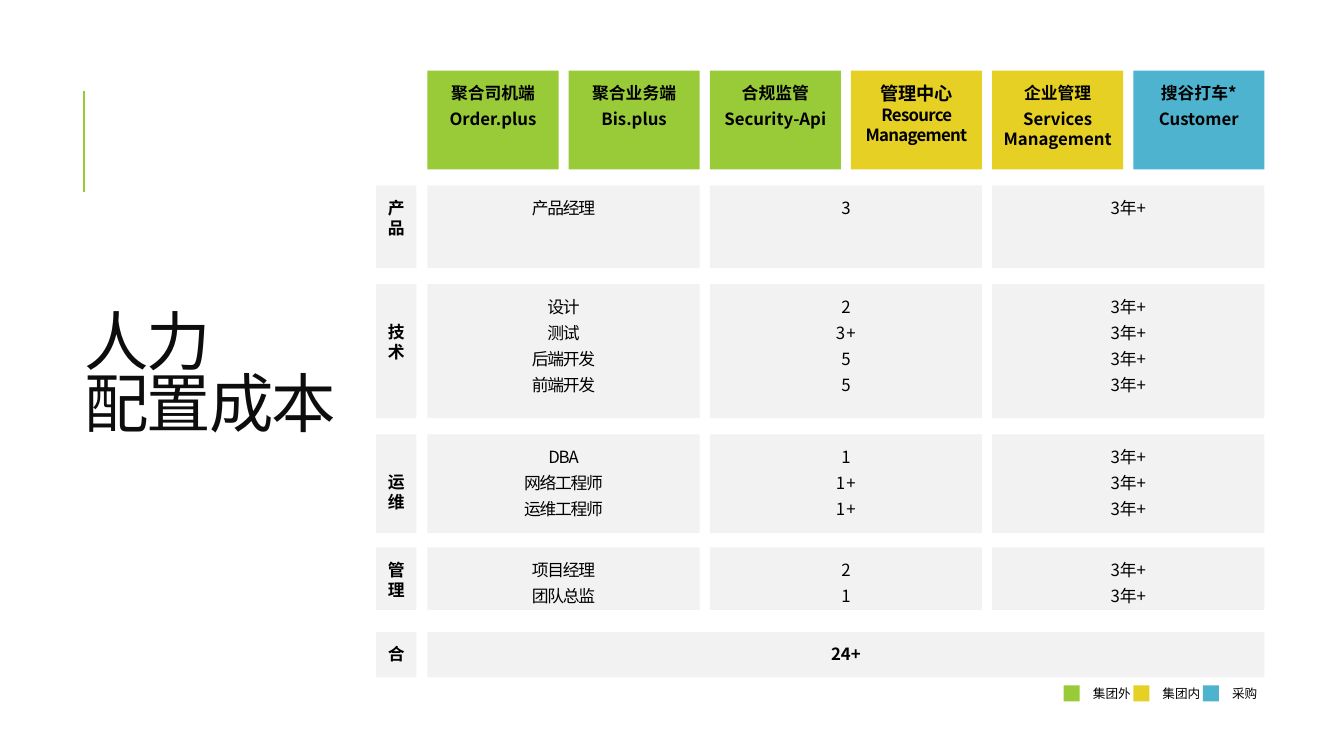
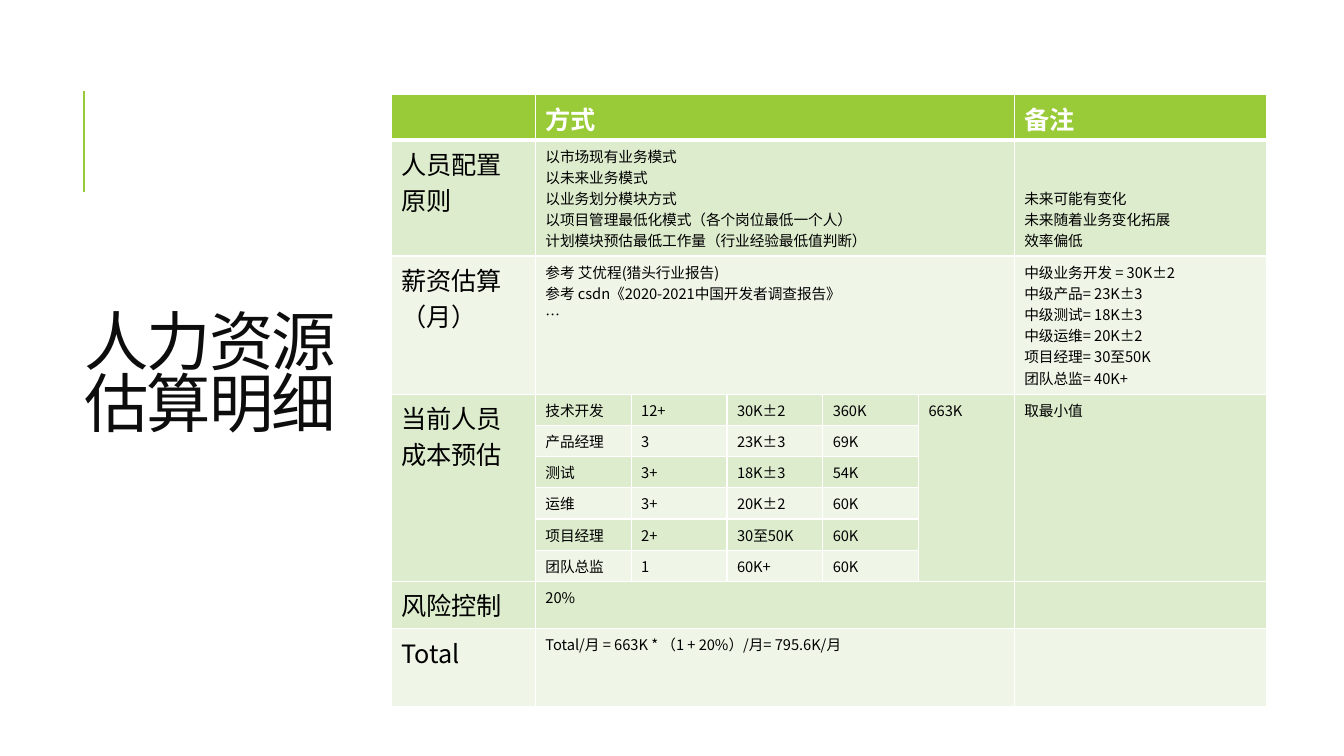
from lxml.etree import SubElement
from pptx import Presentation
from pptx.dml.color import RGBColor
from pptx.enum.shapes import MSO_CONNECTOR, MSO_SHAPE
from pptx.enum.text import MSO_ANCHOR, PP_ALIGN
from pptx.oxml.ns import qn
from pptx.util import Inches, Pt

FONT = "Noto Sans CJK SC"
GREEN = RGBColor(0x99, 0xCB, 0x38)
YELLOW = RGBColor(0xE6, 0xD0, 0x24)
BLUE = RGBColor(0x4E, 0xB3, 0xCF)
GRAY = RGBColor(0xF2, 0xF2, 0xF2)
BAND_DARK = RGBColor(0xDE, 0xEC, 0xCE)
BAND_LIGHT = RGBColor(0xEF, 0xF6, 0xE8)
BLACK = RGBColor(0x00, 0x00, 0x00)
TITLE_COLOR = RGBColor(0x0D, 0x0D, 0x0D)
WHITE = RGBColor(0xFF, 0xFF, 0xFF)

GRID_LEFT = 4.24
GAP = 0.1
MODULE_WIDTH = 1.3
DETAIL_WIDTH = 2 * MODULE_WIDTH + GAP
GRID_WIDTH = 3 * DETAIL_WIDTH + 2 * GAP
LABEL_LEFT, LABEL_WIDTH = 3.73, 0.4
TOP_INSET = 0.12
LOWERED_INSET = 0.37

MODULES = [
    (GREEN, ["聚合司机端", "Order.plus"]),
    (GREEN, ["聚合业务端", "Bis.plus"]),
    (GREEN, ["合规监管", "Security-Api"]),
    (YELLOW, None),
    (YELLOW, ["企业管理", "Services Management"]),
    (BLUE, ["搜谷打车*", "Customer"]),
]
# top, height, label inset, label, (role, headcount, experience) columns
STAFF_ROWS = [
    (1.84, 0.82, TOP_INSET, "产品", (["产品经理"], ["3"], ["3年+"])),
    (2.82, 1.33, LOWERED_INSET, "技术",
     (["设计", "测试", "后端开发", "前端开发"], ["2", "3 +", "5", "5"], ["3年+"] * 4)),
    (4.31, 0.98, LOWERED_INSET, "运维",
     (["DBA", "网络工程师", "运维工程师"], ["1", "1 +", "1 +"], ["3年+"] * 3)),
    (5.43, 0.62, TOP_INSET, "管理", (["项目经理", "团队总监"], ["2", "1"], ["3年+"] * 2)),
]
TOTAL_TOP, TOTAL_HEIGHT = 6.27, 0.45
LEGEND = [(GREEN, "集团外"), (YELLOW, "集团内"), (BLUE, "采购")]

COLUMN_WIDTHS = [1.43] + [0.95] * 5 + [2.5]
ROW_HEIGHTS = [0.45, 1.15, 1.37] + [0.31] * 6 + [0.47, 0.77]
MERGES = [(row, 1, row, 5) for row in (0, 1, 2, 9, 10)]
MERGES += [(3, column, 8, column) for column in (0, 5, 6)]
ESTIMATE = [
    ["", "方式", "", "", "", "", "备注"],
    ["人员配置\n原则",
     "以市场现有业务模式\n以未来业务模式\n以业务划分模块方式\n"
     "以项目管理最低化模式（各个岗位最低一个人）\n"
     "计划模块预估最低工作量（行业经验最低值判断）",
     "", "", "", "", "未来可能有变化\n未来随着业务变化拓展\n效率偏低"],
    ["薪资估算（月）",
     "参考 艾优程(猎头行业报告)\n参考 csdn《2020-2021中国开发者调查报告》\n…",
     "", "", "", "",
     "中级业务开发 = 30K±2\n中级产品= 23K±3\n中级测试= 18K±3\n"
     "中级运维= 20K±2\n项目经理= 30至50K\n团队总监= 40K+"],
    ["当前人员成本预估", "技术开发", "12+", "30K±2", "360K", "663K", "取最小值"],
    ["", "产品经理", "3", "23K±3", "69K", "", ""],
    ["", "测试", "3+", "18K±3", "54K", "", ""],
    ["", "运维", "3+", "20K±2", "60K", "", ""],
    ["", "项目经理", "2+", "30至50K", "60K", "", ""],
    ["", "团队总监", "1", "60K+", "60K", "", ""],
    ["风险控制", "20%", "", "", "", "", ""],
    ["Total", "Total/月 = 663K * （1 + 20%）/月= 795.6K/月", "", "", "", "", ""],
]


def add_run(paragraph, text, size, color=BLACK, bold=False, spacing=0):
    run = paragraph.add_run()
    run.text = text
    run.font.size = Pt(size)
    run.font.name = FONT
    run.font.bold = bold
    run.font.color.rgb = color
    properties = run._r.get_or_add_rPr()
    SubElement(properties, qn("a:ea")).set("typeface", FONT)
    if spacing:
        properties.set("spc", str(round(spacing * 100)))


def paragraphs_for(frame, count):
    """Yield the frame's first paragraph, then newly added ones."""
    for index in range(count):
        yield frame.add_paragraph() if index else frame.paragraphs[0]


def set_margins(frame, left=0, top=0, right=0, bottom=0):
    frame.margin_left, frame.margin_right = Inches(left), Inches(right)
    frame.margin_top, frame.margin_bottom = Inches(top), Inches(bottom)


def add_text_box(slide, left, top, width, height):
    frame = slide.shapes.add_textbox(
        Inches(left), Inches(top), Inches(width), Inches(height)).text_frame
    frame.word_wrap = True
    frame.vertical_anchor = MSO_ANCHOR.MIDDLE
    set_margins(frame)
    return frame


def add_block(slide, left, top, width, height, fill):
    shape = slide.shapes.add_shape(
        MSO_SHAPE.RECTANGLE, Inches(left), Inches(top), Inches(width), Inches(height))
    shape.shadow.inherit = False
    shape.fill.solid()
    shape.fill.fore_color.rgb = fill
    shape.line.fill.background()
    return shape


def format_block_paragraph(paragraph):
    paragraph.alignment = PP_ALIGN.CENTER
    paragraph.space_after = Pt(4.2)


def add_text_block(slide, left, top, width, height, fill, lines,
                   bold=True, spacing=0, inset=TOP_INSET):
    frame = add_block(slide, left, top, width, height, fill).text_frame
    frame.word_wrap = True
    frame.vertical_anchor = MSO_ANCHOR.TOP
    set_margins(frame, 0.08, inset, 0.08)
    for paragraph, line in zip(paragraphs_for(frame, len(lines)), lines):
        format_block_paragraph(paragraph)
        add_run(paragraph, line, 12, bold=bold, spacing=spacing)
    return frame


def add_titled_slide(presentation, title_lines):
    slide = presentation.slides.add_slide(presentation.slide_layouts[6])
    accent = slide.shapes.add_connector(
        MSO_CONNECTOR.STRAIGHT, Inches(0.83), Inches(1.9), Inches(0.83), Inches(0.9))
    accent.line.color.rgb = GREEN
    accent.line.width = Pt(1.5)
    SubElement(accent._element.spPr, qn("a:effectLst"))
    paragraph = add_text_box(slide, 0.84, 0.7, 3.21, 6.09).paragraphs[0]
    paragraph.line_spacing = 0.8
    for index, line in enumerate(title_lines):
        if index:
            paragraph.add_line_break()
        add_run(paragraph, line, 46, TITLE_COLOR, spacing=-1.5)
    return slide


def add_modules(slide):
    for index, (fill, lines) in enumerate(MODULES):
        left = GRID_LEFT + index * (MODULE_WIDTH + GAP)
        frame = add_text_block(slide, left, 0.7, MODULE_WIDTH, 0.98, fill, lines or [])
        if lines is None:
            paragraph = frame.paragraphs[0]
            format_block_paragraph(paragraph)
            add_run(paragraph, "管理中心", 13, bold=True)
            paragraph.add_line_break()
            add_run(paragraph, "Resource Management", 12, bold=True, spacing=-0.5)


def add_staff_rows(slide):
    for top, height, inset, label, columns in STAFF_ROWS:
        add_text_block(slide, LABEL_LEFT, top, LABEL_WIDTH, height, GRAY, [label], inset=inset)
        for index, lines in enumerate(columns):
            left = GRID_LEFT + index * (DETAIL_WIDTH + GAP)
            add_text_block(slide, left, top, DETAIL_WIDTH, height, GRAY, lines,
                           bold=False, spacing=-0.9)
    add_text_block(slide, LABEL_LEFT, TOTAL_TOP, LABEL_WIDTH, TOTAL_HEIGHT, GRAY, ["合"])
    add_text_block(slide, GRID_LEFT, TOTAL_TOP, GRID_WIDTH, TOTAL_HEIGHT, GRAY, ["24+"])


def add_legend(slide):
    for index, (fill, label) in enumerate(LEGEND):
        left = 10.55 + index * 0.69
        add_block(slide, left, 6.8, 0.16, 0.16, fill)
        frame = add_text_box(slide, left + 0.29, 6.8, 0.4, 0.16)
        add_run(frame.paragraphs[0], label, 9)


def set_borders(cell, top, bottom):
    """Draw white borders; top and bottom are widths in points."""
    properties = cell._tc.get_or_add_tcPr()
    widths = [("a:lnL", 1), ("a:lnR", 1), ("a:lnT", top), ("a:lnB", bottom)]
    for index, (tag, width) in enumerate(widths):
        line = SubElement(properties, qn(tag))
        line.set("w", str(Pt(width)))
        fill = SubElement(line, qn("a:solidFill"))
        SubElement(fill, qn("a:srgbClr")).set("val", str(WHITE))
        properties.insert(index, line)


def fill_cell(cell, row, column, text):
    header = row == 0
    cell.fill.solid()
    cell.fill.fore_color.rgb = GREEN if header else (BAND_LIGHT, BAND_DARK)[row % 2]
    set_borders(cell, 3 if row == 1 else 1, 3 if header else 1)
    size = 18 if header or column == 0 else 10.5
    lines = text.split("\n")
    for paragraph, line in zip(paragraphs_for(cell.text_frame, len(lines)), lines):
        if line:
            add_run(paragraph, line, size, WHITE if header else BLACK, bold=header)
        else:
            paragraph.font.size = Pt(size)


def add_estimate_table(slide):
    table = slide.shapes.add_table(
        len(ROW_HEIGHTS), len(COLUMN_WIDTHS), Inches(3.88), Inches(0.94),
        Inches(sum(COLUMN_WIDTHS)), Inches(sum(ROW_HEIGHTS))).table
    for column, width in zip(table.columns, COLUMN_WIDTHS):
        column.width = Inches(width)
    for row, height in zip(table.rows, ROW_HEIGHTS):
        row.height = Inches(height)
    for row, texts in enumerate(ESTIMATE):
        for column, text in enumerate(texts):
            fill_cell(table.cell(row, column), row, column, text)
    for first_row, first_column, last_row, last_column in MERGES:
        table.cell(first_row, first_column).merge(table.cell(last_row, last_column))
    table.cell(1, 6).vertical_anchor = MSO_ANCHOR.BOTTOM


def main():
    presentation = Presentation()
    presentation.slide_width = Inches(13.33)
    presentation.slide_height = Inches(7.5)

    staffing = add_titled_slide(presentation, ["人力", "配置成本"])
    add_modules(staffing)
    add_legend(staffing)
    add_staff_rows(staffing)

    estimate = add_titled_slide(presentation, ["人力资源", "估算明细"])
    add_estimate_table(estimate)

    presentation.save("out.pptx")


if __name__ == "__main__":
    main()
